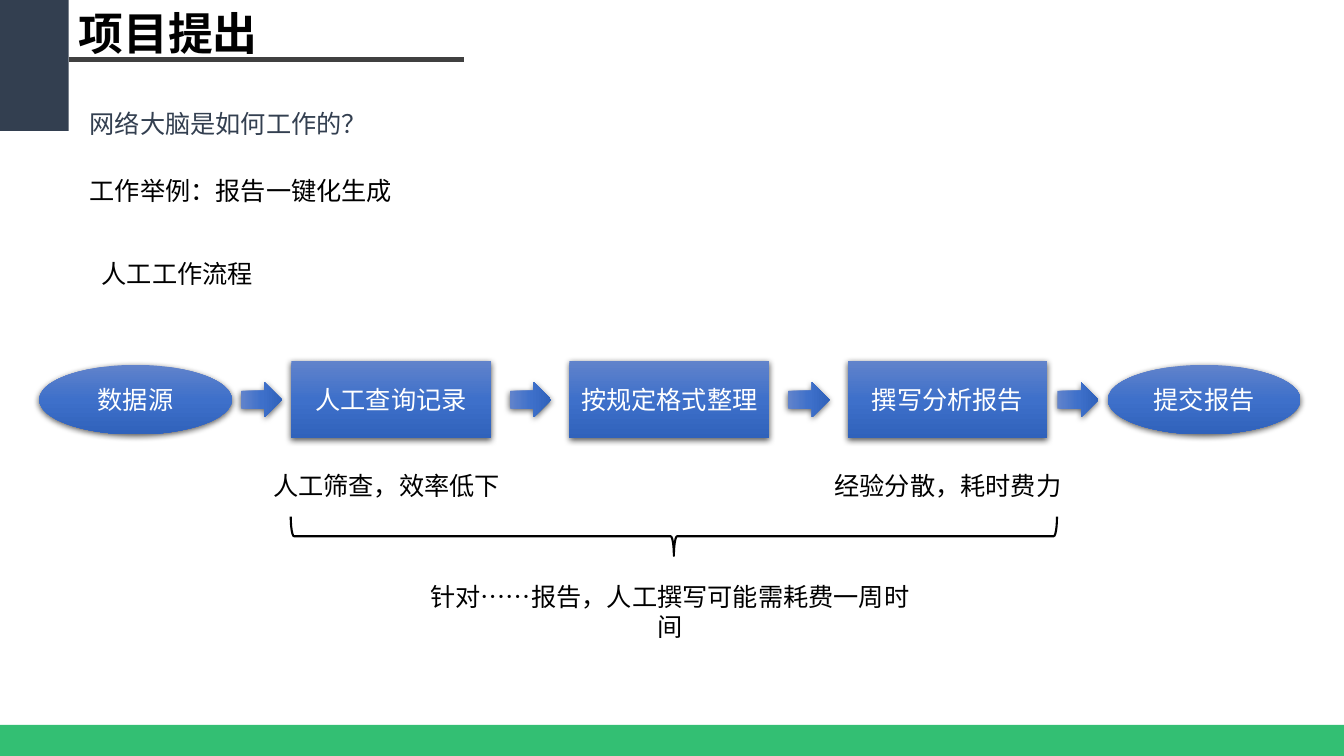
from copy import deepcopy

from lxml.etree import SubElement
from pptx import Presentation
from pptx.dml.color import RGBColor
from pptx.enum.shapes import MSO_CONNECTOR as Connector, MSO_SHAPE as Preset
from pptx.enum.text import MSO_ANCHOR as Anchor, MSO_AUTO_SIZE as AutoSize, PP_ALIGN as Align
from pptx.oxml.ns import qn
from pptx.util import Inches, Pt

NAVY, GREEN, GREY, BLACK, WHITE = "333F50", "00B050", "404040", "000000", "FFFFFF"
GRADIENT = ("6183CB", "3E70CA", "3062BB")
FLOW_ROW = 52.87


def color(hex_code):
    return RGBColor.from_string(hex_code)


class SlideBuilder:
    """Draws styled elements on a slide, placed on a grid of 100 columns and 100 rows."""

    def __init__(self, presentation, font="Calibri", size=18):
        self.slide = presentation.slides.add_slide(presentation.slide_layouts[6])
        self.column = presentation.slide_width / 100
        self.row = presentation.slide_height / 100
        self.font, self.size = font, size

    def place(self, left, top, width, height):
        return (round(left * self.column), round(top * self.row),
                round(width * self.column), round(height * self.row))

    def set_text(self, frame, text, ink, align, font=None, size=None, bold=None):
        paragraph = frame.paragraphs[0]
        paragraph.text = text
        paragraph.alignment = align
        paragraph.font.name = font or self.font
        paragraph.font.size = Pt(size or self.size)
        paragraph.font.bold = bold
        paragraph.font.color.rgb = color(ink)

    def text(self, text, left, top, width, height=5.33, ink=BLACK, align=Align.LEFT,
             wrap=False, **style):
        frame = self.slide.shapes.add_textbox(*self.place(left, top, width, height)).text_frame
        frame.word_wrap = wrap
        frame.auto_size = AutoSize.SHAPE_TO_FIT_TEXT
        self.set_text(frame, text, ink, align, **style)

    def shape(self, preset, left, top, width, height):
        shape = self.slide.shapes.add_shape(preset, *self.place(left, top, width, height))
        shape.shadow.inherit = False
        shape.line.fill.background()
        return shape

    def block(self, left, top, width, height, fill, opacity=100):
        shape = self.shape(Preset.RECTANGLE, left, top, width, height)
        shape.fill.solid()
        shape.fill.fore_color.rgb = color(fill)
        if opacity < 100:
            tint = next(shape.element.spPr.iter(qn("a:srgbClr")))
            SubElement(tint, qn("a:alpha"), val=str(opacity * 1000))

    def rule(self, left, right, row, ink, weight):
        start_x, start_y, end_x, _ = self.place(left, row, right, row)
        line = self.slide.shapes.add_connector(
            Connector.STRAIGHT, start_x, start_y, end_x, start_y)
        line.line.color.rgb = color(ink)
        line.line.width = Pt(weight)
        SubElement(line.element.spPr, qn("a:effectLst"))

    def glossy(self, preset, center, width, height, text=None, rotation=0):
        shape = self.shape(preset, center - width / 2, FLOW_ROW - height / 2, width, height)
        shape.rotation = rotation
        shape.fill.gradient()
        shape.fill.gradient_angle = 270
        properties = shape.element.spPr
        stops = next(properties.iter(qn("a:gsLst")))
        stops.insert(1, deepcopy(stops[0]))
        for index, (stop, shade) in enumerate(zip(shape.fill.gradient_stops, GRADIENT)):
            stop.color.rgb = color(shade)
            stop.position = index / 2
        shadow = SubElement(properties.find(qn("a:effectLst")), qn("a:outerShdw"),
                            blurRad=str(Pt(4.5)), dist=str(Pt(1.5)), dir="5400000",
                            algn="ctr", rotWithShape="0")
        shade = SubElement(shadow, qn("a:srgbClr"), val=BLACK)
        SubElement(shade, qn("a:alpha"), val="63000")
        if text:
            shape.text_frame.vertical_anchor = Anchor.MIDDLE
            shape.text_frame.word_wrap = True
            self.set_text(shape.text_frame, text, WHITE, Align.CENTER)

    def brace(self, center, middle, width, height, ink, weight):
        shape = self.shape(Preset.LEFT_BRACE, center - width / 2, middle - height / 2,
                           width, height)
        shape.rotation = 270
        shape.fill.background()
        shape.line.color.rgb = color(ink)
        shape.line.width = Pt(weight)


def main():
    presentation = Presentation()
    presentation.slide_width, presentation.slide_height = Inches(13.33), Inches(7.5)
    builder = SlideBuilder(presentation)

    builder.block(0, 0, 5.1, 17.33, NAVY)
    builder.text("项目提出", 5.1, 0.13, 15.08, 8.53, font="Noto Sans CJK SC", size=32, bold=True)
    builder.rule(5.1, 34.5, 7.87, GREY, 3)
    builder.block(0, 95.87, 100, 4.13, GREEN, opacity=80)

    builder.text("网络大脑是如何工作的？", 5.93, 13.73, 32.33, ink=NAVY, wrap=True)
    builder.text("工作举例：报告一键化生成", 5.93, 22.53, 24)
    builder.text("人工工作流程", 6.83, 33.47, 12.75)

    for center, label in ((10.09, "数据源"), (89.6, "提交报告")):
        builder.glossy(Preset.OVAL, center, 14.33, 9.2, label)
    for index, label in enumerate(("人工查询记录", "按规定格式整理", "撰写分析报告")):
        builder.glossy(Preset.RECTANGLE, 29.1 + 20.7 * index, 14.85, 10.27, label)
    for center in (19.46, 39.49, 60.19, 80.21):
        builder.glossy(Preset.DOWN_ARROW, center, 2.63, 5.47, rotation=270)

    for left, note in ((61.35, "经验分散，耗时费力"), (19.58, "人工筛查，效率低下")):
        builder.text(note, left, 61.6, 18.38)
    builder.brace(50.14, 70.93, 2.93, 101.33, BLACK, 1.5)
    builder.text("针对……报告，人工撰写可能需耗费一周时间", 30.9, 76.27, 37.88,
                 align=Align.CENTER, wrap=True)
    presentation.save("out.pptx")


if __name__ == "__main__":
    main()
